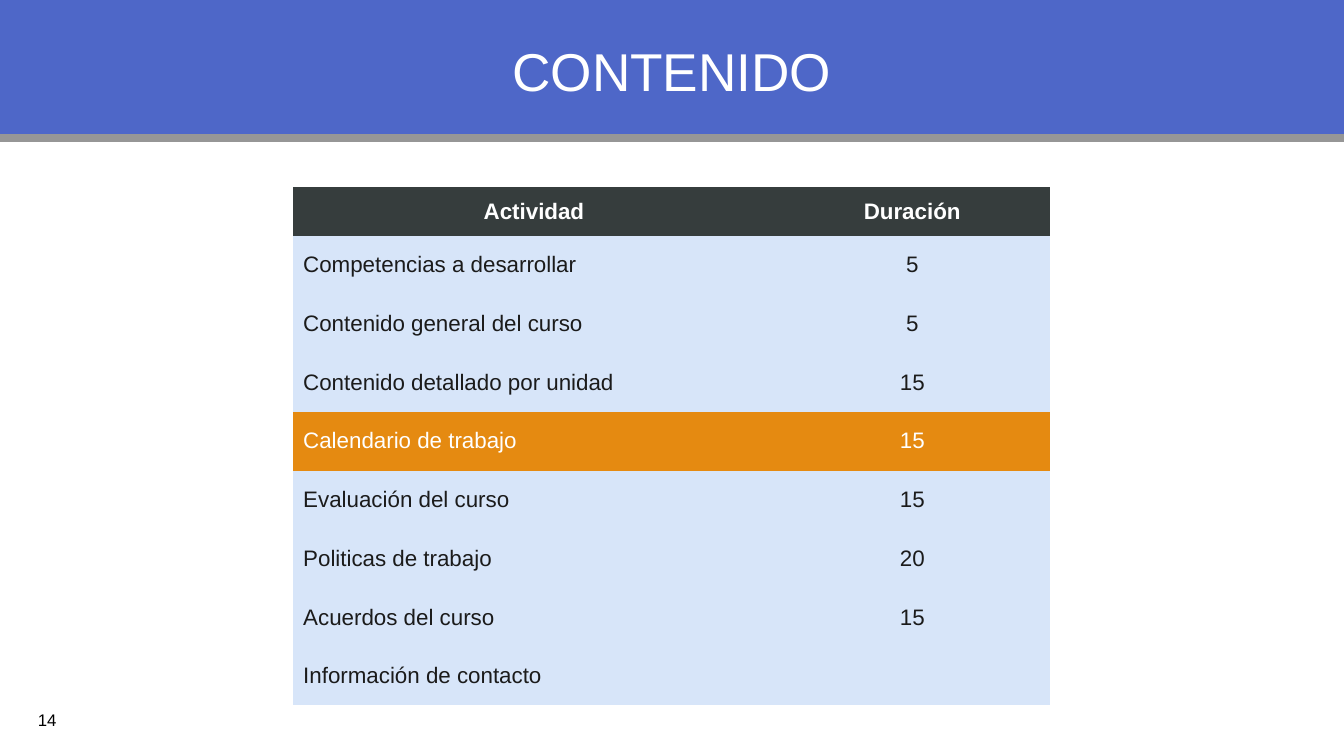
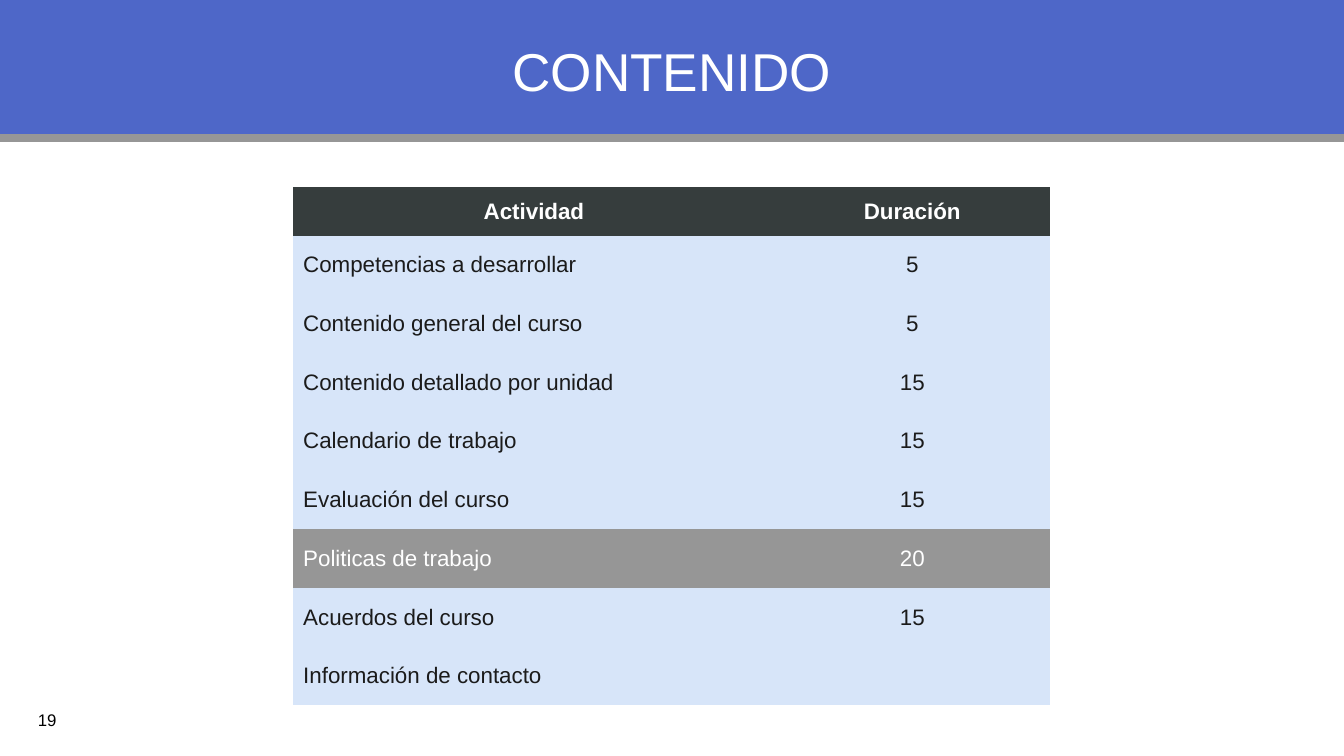
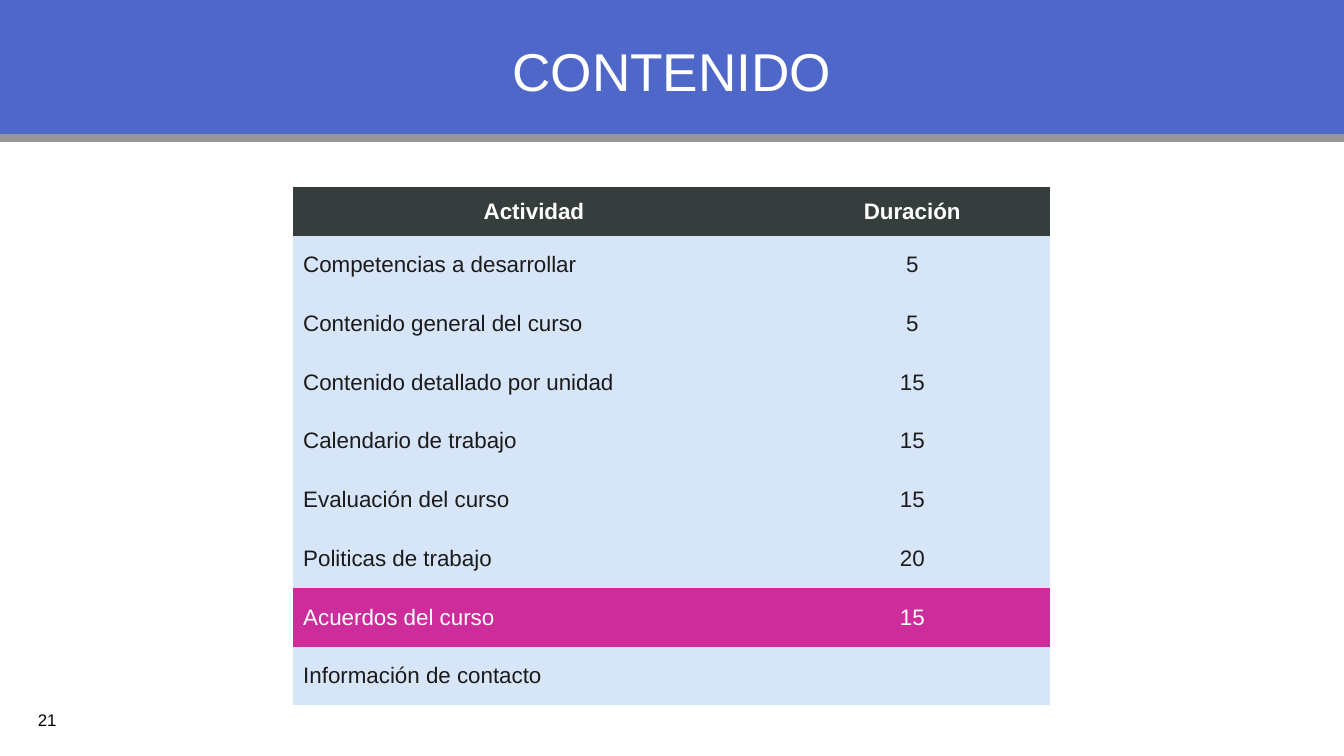
from lxml.etree import SubElement
from pptx import Presentation
from pptx.dml.color import RGBColor
from pptx.enum.shapes import MSO_CONNECTOR, MSO_SHAPE
from pptx.enum.text import MSO_ANCHOR, PP_ALIGN
from pptx.oxml.ns import qn
from pptx.util import Inches, Pt

WIDE, HIGH = 13.34, 7.5
FONT = "Arial"
PLAIN = "{2D5ABB26-0587-4C30-8999-92F81FD0307C}"
HEX = {
    "band": "4E67C8",
    "gray": "969696",
    "head": "363D3D",
    "row": "D7E5F9",
    "ink": "1B1B1B",
    "black": "000000",
    "white": "FFFFFF",
    "orange": "E58A11",
    "pink": "CC2D9A",
}
HEAD = ("Actividad", "Duración")
ROWS = [
    ("Competencias a desarrollar", "5"),
    ("Contenido general del curso", "5"),
    ("Contenido detallado por unidad", "15"),
    ("Calendario de trabajo", "15"),
    ("Evaluación del curso", "15"),
    ("Politicas de trabajo", "20"),
    ("Acuerdos del curso", "15"),
    ("Información de contacto", ""),
]
COLS = (4.78, 2.73)
LEFT, TOP, TALL, FIRST = 2.91, 1.86, 5.14, 0.48
PAGES = [
    ("14", "Calendario de trabajo", "orange"),
    ("19", "Politicas de trabajo", "gray"),
    ("21", "Acuerdos del curso", "pink"),
]


def color(name):
    return RGBColor.from_string(HEX[name])


def write(frame, text, size, tint, align, bold=False):
    para = frame.paragraphs[0]
    para.text = text
    para.alignment = align
    font = para.font
    font.name, font.size, font.bold = FONT, Pt(size), bold
    font.color.rgb = color(tint)
    return para


def add_text(slide, box, text, size, tint, align):
    frame = slide.shapes.add_textbox(*map(Inches, box)).text_frame
    frame.word_wrap = True
    frame.vertical_anchor = MSO_ANCHOR.MIDDLE
    return write(frame, text, size, tint, align)


def add_band(slide):
    band = slide.shapes.add_shape(
        MSO_SHAPE.RECTANGLE, 0, 0, Inches(WIDE), Inches(1.36))
    band.shadow.inherit = False
    band.fill.solid()
    band.fill.fore_color.rgb = color("band")
    band.line.fill.background()
    rule = slide.shapes.add_connector(
        MSO_CONNECTOR.STRAIGHT, 0, Inches(1.37), Inches(WIDE), Inches(1.37))
    rule.line.color.rgb = color("gray")
    rule.line.width = Pt(6)
    SubElement(rule._element.spPr, qn("a:effectLst"))


def add_frame(slide, title, page):
    add_band(slide)
    add_text(slide, (0.09, 6.99, 0.57, 0.3), page, 12, "black", PP_ALIGN.RIGHT)
    para = add_text(slide, (1.17, 0.14, 11, 1.2), title, 38, "white",
                    PP_ALIGN.CENTER)
    para.line_spacing = 0.9


def fill_row(row, texts, back, tint, aligns, bold=False):
    for cell, text, align in zip(row.cells, texts, aligns):
        cell.fill.solid()
        cell.fill.fore_color.rgb = color(back)
        cell.vertical_anchor = MSO_ANCHOR.MIDDLE
        write(cell.text_frame, text, 16, tint, align, bold)


def add_plan(slide, topic, accent):
    shape = slide.shapes.add_table(
        len(ROWS) + 1, len(COLS), Inches(LEFT), Inches(TOP),
        Inches(sum(COLS)), Inches(TALL))
    table = shape.table
    table._tbl.tblPr.find(qn("a:tableStyleId")).text = PLAIN
    for col, width in zip(table.columns, COLS):
        col.width = Inches(width)
    head, *body = table.rows
    head.height = Inches(FIRST)
    fill_row(head, HEAD, "head", "white", [PP_ALIGN.CENTER] * 2, True)
    for row, texts in zip(body, ROWS):
        row.height = Inches((TALL - FIRST) / len(ROWS))
        back, tint = (accent, "white") if texts[0] == topic else ("row", "ink")
        fill_row(row, texts, back, tint, (PP_ALIGN.JUSTIFY, PP_ALIGN.CENTER))


def main():
    deck = Presentation()
    deck.slide_width, deck.slide_height = Inches(WIDE), Inches(HIGH)
    for page, topic, accent in PAGES:
        slide = deck.slides.add_slide(deck.slide_layouts[6])
        add_frame(slide, "CONTENIDO", page)
        add_plan(slide, topic, accent)
    deck.save("out.pptx")


if __name__ == "__main__":
    main()
